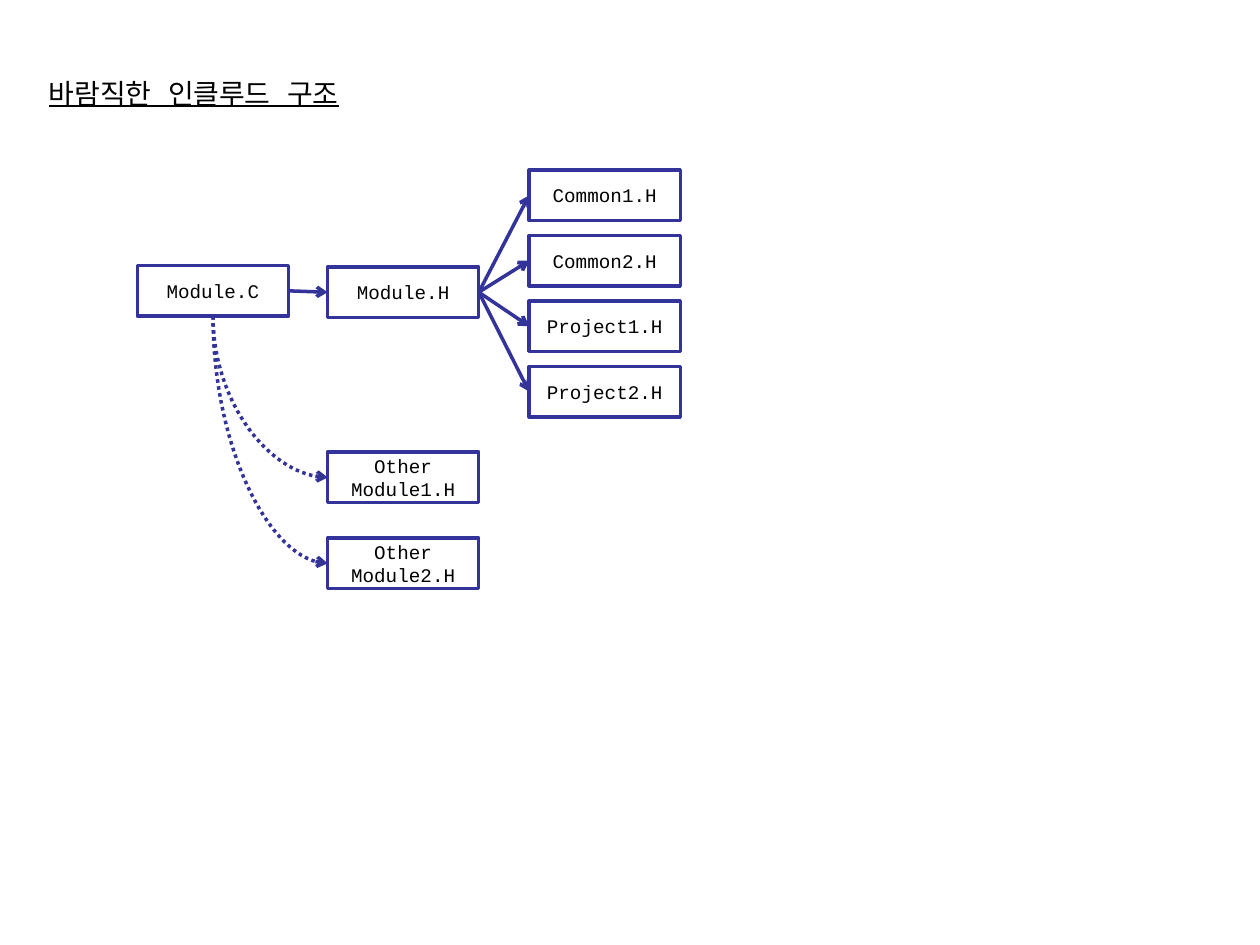
from dataclasses import dataclass

from lxml import etree
from pptx import Presentation
from pptx import util as u
from pptx.dml.color import RGBColor
from pptx.enum import dml, shapes, text
from pptx.oxml import ns

INK, NAVY, WHITE = "000000", "333399", "FFFFFF"
BOX_WIDTH, BOX_HEIGHT = 86.4, 28.8
SOURCE_LEFT, MODULE_LEFT, HEADER_LEFT = 78.5, 187.2, 302.4
HEADER_TOP, HEADER_STEP = 97.2, 37.4
BOTTOM_SITE, LEFT_SITE, RIGHT_SITE = 2, 1, 3


@dataclass(frozen=True)
class FileBox:
    label: str
    left: float
    top: float

    @property
    def bottom_middle(self) -> tuple[float, float]:
        return self.left + BOX_WIDTH / 2, self.top + BOX_HEIGHT

    @property
    def left_middle(self) -> tuple[float, float]:
        return self.left, self.top + BOX_HEIGHT / 2


MODULE_SOURCE = FileBox("Module.C", SOURCE_LEFT, 151.8)
MODULE_HEADER = FileBox("Module.H", MODULE_LEFT, 152.6)
SHARED_HEADERS = [
    FileBox(label, HEADER_LEFT, HEADER_TOP + row * HEADER_STEP)
    for row, label in enumerate(["Common1.H", "Common2.H", "Project1.H", "Project2.H"])
]
OTHER_HEADERS = [
    FileBox("Other\nModule1.H", MODULE_LEFT, 258.4),
    FileBox("Other\nModule2.H", MODULE_LEFT, 307.5),
]


def color(value: str) -> RGBColor:
    return RGBColor.from_string(value)


def style_font(run, name: str, size: float) -> None:
    run.font.name = name
    run.font.size = u.Pt(size)
    run.font.color.rgb = color(INK)


def add_title(slide, title: str) -> None:
    shape = slide.shapes.add_textbox(u.Pt(20.9), u.Pt(40.3), u.Pt(236.2), u.Pt(26.6))
    shape.text_frame.word_wrap = True
    shape.text_frame.text = title
    run = shape.text_frame.paragraphs[0].runs[0]
    style_font(run, "DejaVu Sans Mono", 16)
    run.font.underline = True
    # Korean letters take the East Asian typeface
    latin = run.font._element.find(ns.qn("a:latin"))
    east_asian = etree.Element(ns.qn("a:ea"), typeface="DejaVu Sans Mono")
    latin.addnext(east_asian)


def add_box(slide, box: FileBox):
    shape = slide.shapes.add_shape(
        shapes.MSO_SHAPE.RECTANGLE,
        u.Pt(box.left), u.Pt(box.top), u.Pt(BOX_WIDTH), u.Pt(BOX_HEIGHT),
    )
    shape.shadow.inherit = False
    shape.fill.solid()
    shape.fill.fore_color.rgb = color(WHITE)
    shape.line.color.rgb = color(NAVY)
    shape.line.width = u.Pt(2)
    shape.text_frame.vertical_anchor = text.MSO_ANCHOR.MIDDLE
    shape.text_frame.text = box.label
    for paragraph in shape.text_frame.paragraphs:
        paragraph.alignment = text.PP_ALIGN.CENTER
        for run in paragraph.runs:
            style_font(run, "Courier New", 11)
    return shape


def add_arrow(slide, kind, start, start_site: int, end, end_site: int):
    connector = slide.shapes.add_connector(kind, 0, 0, 0, 0)
    connector.begin_connect(start, start_site)
    connector.end_connect(end, end_site)
    connector.line.color.rgb = color(NAVY)
    connector.line.width = u.Pt(2)
    line = connector.line._get_or_add_ln()
    etree.SubElement(line, ns.qn("a:tailEnd"), type="arrow")
    etree.SubElement(connector._element.spPr, ns.qn("a:effectLst"))
    return connector


def add_dotted_curve(slide, start: FileBox, start_shape, end: FileBox, end_shape) -> None:
    connector = add_arrow(
        slide, shapes.MSO_CONNECTOR.CURVE, start_shape, BOTTOM_SITE, end_shape, LEFT_SITE
    )
    connector.line.dash_style = dml.MSO_LINE.ROUND_DOT
    # A quarter bend: leave downwards, arrive rightwards
    (x1, y1), (x2, y2) = start.bottom_middle, end.left_middle
    across, down = x2 - x1, y2 - y1
    connector.left = u.Pt((x1 + x2 - down) / 2)
    connector.top = u.Pt((y1 + y2 - across) / 2)
    connector.width, connector.height = u.Pt(down), u.Pt(across)
    properties = connector._element.spPr
    frame = properties.find(ns.qn("a:xfrm"))
    frame.attrib.pop("flipV", None)
    frame.set("rot", "16200000")
    frame.set("flipH", "1")
    properties.find(ns.qn("a:prstGeom")).set("prst", "curvedConnector2")


def main() -> None:
    presentation = Presentation()
    presentation.slide_width, presentation.slide_height = u.Pt(720), u.Pt(540)
    slide = presentation.slides.add_slide(presentation.slide_layouts[6])

    add_title(slide, "바람직한 인클루드 구조")

    # Module and the headers it includes
    source = add_box(slide, MODULE_SOURCE)
    header = add_box(slide, MODULE_HEADER)
    shared = [add_box(slide, box) for box in SHARED_HEADERS]
    for start, end in [(source, header)] + [(header, shape) for shape in shared]:
        add_arrow(slide, shapes.MSO_CONNECTOR.STRAIGHT, start, RIGHT_SITE, end, LEFT_SITE)

    # Headers of other modules
    others = [add_box(slide, box) for box in OTHER_HEADERS]
    for box, shape in zip(OTHER_HEADERS, others):
        add_dotted_curve(slide, MODULE_SOURCE, source, box, shape)

    presentation.save("out.pptx")


if __name__ == "__main__":
    main()
